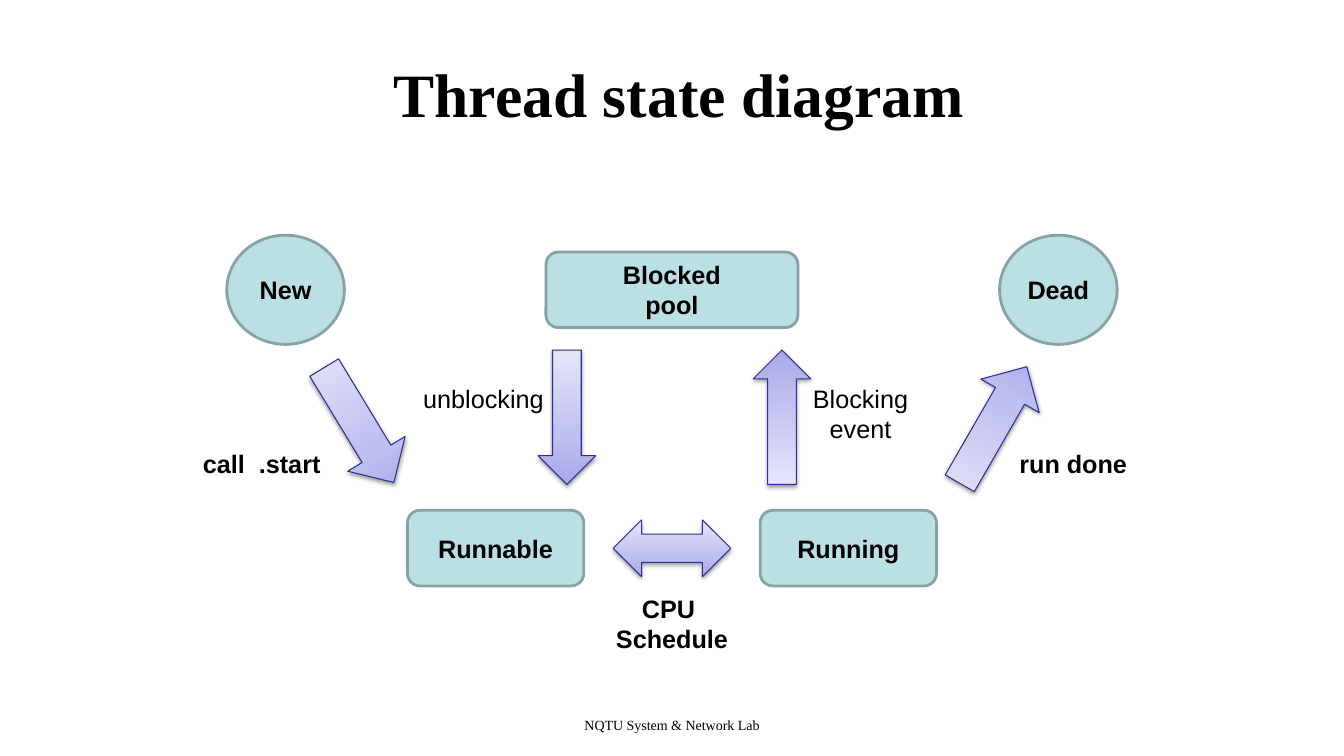
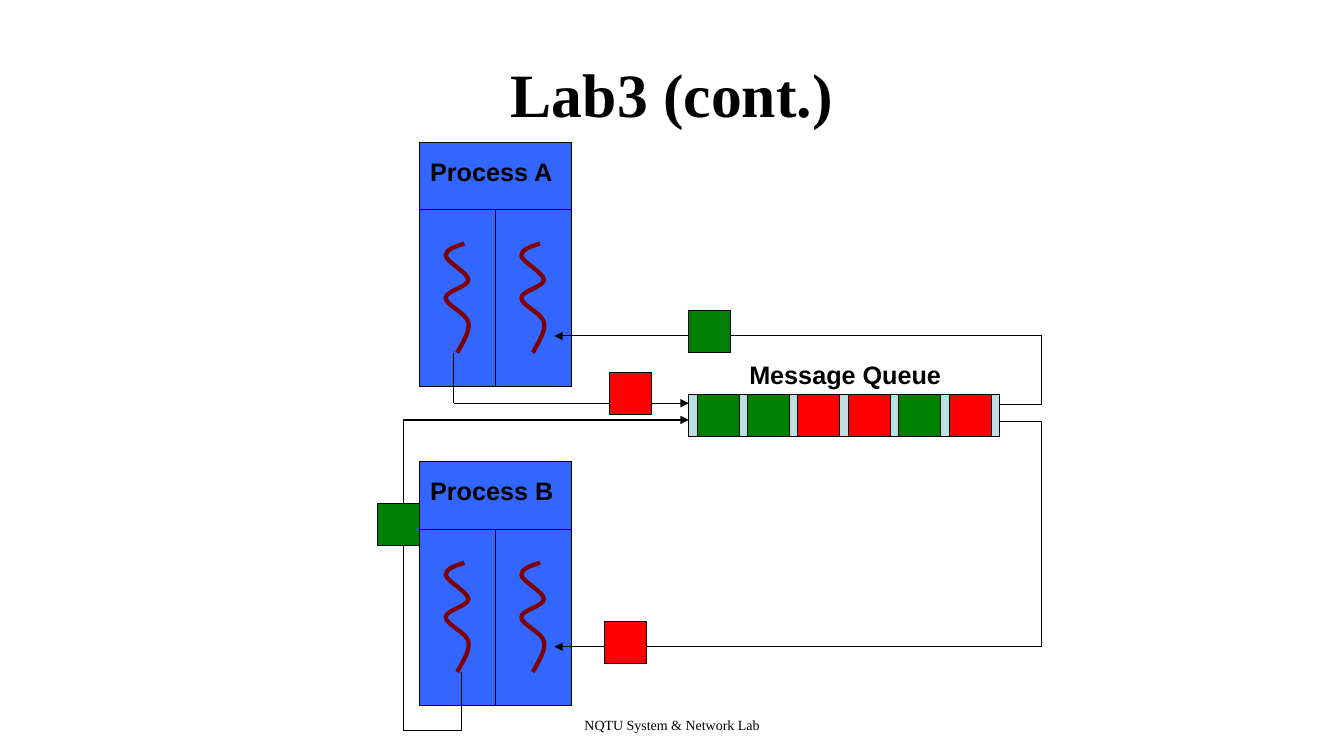
from dataclasses import dataclass
from itertools import chain

from lxml.etree import SubElement
from pptx import Presentation
from pptx.dml.color import RGBColor
from pptx.enum.shapes import MSO_CONNECTOR, MSO_SHAPE
from pptx.enum.text import MSO_ANCHOR, PP_ALIGN
from pptx.oxml.ns import qn
from pptx.util import Emu, Inches, Pt

COLUMNS, ROWS = 160, 90
CELL = Inches(1) / 12


@dataclass(frozen=True)
class Theme:
    ink: str = "000000"
    state: str = "BBE0E3"
    state_edge: str = "88A3A5"
    arrow_edge: str = "2E2E97"
    arrow_stops: tuple = ((0, "A6A6E9"), (35, "BFBFF0"), (100, "E5E5FA"))
    process: str = "3366FF"
    thread: str = "800000"
    red: str = "FF0000"
    green: str = "008000"
    thin: float = 0.75
    edge: float = 2
    thick: float = 3


THEME = Theme()
TITLE = {"name": "Times New Roman", "size": Pt(44), "bold": True}
FOOTER = {"name": "Times New Roman", "size": Pt(10), "bold": False}
STRONG = {"name": "Arial", "size": Pt(18), "bold": True}
PLAIN = {"name": "Arial", "size": Pt(18), "bold": False}
LEFT, CENTER = PP_ALIGN.LEFT, PP_ALIGN.CENTER

# All areas are left, top, width, height in grid cells.
FOOTER_TEXT, FOOTER_AREA = "NQTU System & Network Lab", (54.5, 84.7, 51, 2.9)
TITLE_AREA = (26, 3.6, 108, 15)

STATES = [
    ("New", MSO_SHAPE.OVAL, (27, 28, 14, 13)),
    ("Dead", MSO_SHAPE.OVAL, (119, 28, 14, 13)),
    ("Runnable", MSO_SHAPE.ROUNDED_RECTANGLE, (48.5, 60.75, 21, 9)),
    ("Running", MSO_SHAPE.ROUNDED_RECTANGLE, (90.5, 60.75, 21, 9)),
    ("Blocked\vpool", MSO_SHAPE.ROUNDED_RECTANGLE, (65, 30, 30, 9)),
]
TRANSITIONS = [
    (MSO_SHAPE.DOWN_ARROW, (38.75, 42.6, 8, 16), 328.8),
    (MSO_SHAPE.LEFT_RIGHT_ARROW, (73, 61.9, 14, 6.75), 0),
    (MSO_SHAPE.DOWN_ARROW, (114.25, 42.6, 8, 16), 209.9),
    (MSO_SHAPE.DOWN_ARROW, (89.67, 41.67, 6.85, 16), 180),
    (MSO_SHAPE.DOWN_ARROW, (64.07, 41.67, 6.85, 16), 0),
]
TRANSITION_LABELS = [
    ("call  .start", (22.97, 52.8, 16.4, 4.8), STRONG, LEFT),
    ("run done", (120.17, 52.8, 16.4, 4.8), STRONG, LEFT),
    ("CPU \nSchedule", (71.9, 70, 16.2, 8.5), STRONG, CENTER),
    ("Blocking event", (95, 45, 14.9, 8.5), PLAIN, CENTER),
    ("unblocking", (49.1, 45, 16.9, 4.8), PLAIN, CENTER),
]

PROCESSES = [("Process A", 50, 17), ("Process B", 50, 55)]
PROCESS_WIDTH, PROCESS_HEIGHT, HEADER_HEIGHT = 18, 29, 8
THREAD_OFFSETS = [(3, 12), (12, 12)]
THREAD_START = (2.3, 0)
THREAD_CURVES = [
    ((1.16, 0.36), (0.06, 0.72), (0.06, 1.44)),
    ((0.12, 2.16), (2.76, 3.48), (2.76, 4.32)),
    ((2.76, 5.16), (0.06, 5.64), (0.06, 6.48)),
    ((0.06, 7.32), (2.52, 8.28), (2.76, 9.36)),
    ((3, 10.44), (2.16, 11.64), (1.44, 13)),
]
ROUTES = [
    [(54, 42), (54, 48), (82, 48)],
    [(55, 80), (55, 87), (48, 87), (48, 50), (82, 50)],
    [(119, 48.2), (124, 48.2), (124, 40), (66, 40)],
    [(119, 50.2), (124, 50.2), (124, 77), (66, 77)],
]
MESSAGE_SIZE, SLOT_STEP = 5, 6
RED, GREEN = THEME.red, THEME.green
MESSAGES = [(72.6, 44.4, RED), (45, 60, GREEN), (72, 74, RED), (82, 37, GREEN)]
QUEUE_AREA = (82, 47, 37, 5)
QUEUE_MESSAGES = [GREEN, GREEN, RED, RED, GREEN, RED]
QUEUE_LABEL = ("Message Queue", (88.02, 42.2, 26, 4.8))


def cells(values):
    return [Emu(round(value * CELL)) for value in values]


def color(value):
    return RGBColor.from_string(value)


def set_line(shape, value, width):
    shape.line.color.rgb = color(value)
    shape.line.width = Pt(width)


def write(frame, text, style, align):
    frame.word_wrap = True
    frame.text = text
    for para in frame.paragraphs:
        para.alignment = align
        for span in para.runs:
            span.font.color.rgb = color(THEME.ink)
            for name, value in style.items():
                setattr(span.font, name, value)


def add_label(page, text, area, style=STRONG, align=LEFT, anchor=MSO_ANCHOR.TOP):
    box = page.shapes.add_textbox(*cells(area))
    write(box.text_frame, text, style, align)
    box.text_frame.vertical_anchor = anchor


def add_block(page, area, fill, kind=MSO_SHAPE.RECTANGLE,
              edge=THEME.ink, width=THEME.thin):
    block = page.shapes.add_shape(kind, *cells(area))
    block.shadow.inherit = False
    block.fill.solid()
    block.fill.fore_color.rgb = color(fill)
    set_line(block, edge, width)
    return block


def add_state(page, text, kind, area):
    state = add_block(page, area, THEME.state, kind, THEME.state_edge, THEME.edge)
    write(state.text_frame, text, STRONG, CENTER)
    state.text_frame.vertical_anchor = MSO_ANCHOR.MIDDLE


def add_transition(page, kind, area, rotation):
    """Add a block arrow with a three-stop gradient and a soft shadow."""
    arrow = page.shapes.add_shape(kind, *cells(area))
    arrow.rotation = rotation
    arrow.shadow.inherit = False
    arrow.fill.gradient()
    arrow.fill.gradient_angle = 90
    set_line(arrow, THEME.arrow_edge, THEME.thin)
    properties = arrow._element.spPr
    stops = properties.find(".//" + qn("a:gsLst"))
    for stop in list(stops):
        stops.remove(stop)
    for share, value in THEME.arrow_stops:
        stop = SubElement(stops, qn("a:gs"), pos=str(share * 1000))
        SubElement(stop, qn("a:srgbClr"), val=value)
    shadow = SubElement(properties.find(qn("a:effectLst")), qn("a:outerShdw"),
                        blurRad="40000", dist="20000", dir="5400000",
                        rotWithShape="0")
    shade = SubElement(shadow, qn("a:srgbClr"), val=THEME.ink)
    SubElement(shade, qn("a:alpha"), val="38000")


def add_line(page, start, end, arrowhead=False):
    line = page.shapes.add_connector(MSO_CONNECTOR.STRAIGHT, *cells(start + end))
    set_line(line, THEME.ink, THEME.thin)
    if arrowhead:
        SubElement(line.line._get_or_add_ln(), qn("a:tailEnd"), type="triangle")
    SubElement(line._element.spPr, qn("a:effectLst"))


def add_route(page, points):
    """Join the points with lines; the last one carries the arrowhead."""
    for start, end in zip(points, points[1:]):
        add_line(page, start, end, arrowhead=end == points[-1])


def bend(freeform):
    """Turn each three line segments of an outline into one cubic curve."""
    outline = freeform._element.spPr.find(".//" + qn("a:path"))
    segments = outline.findall(qn("a:lnTo"))
    for first in range(0, len(segments), 3):
        curve = SubElement(outline, qn("a:cubicBezTo"))
        for segment in segments[first:first + 3]:
            curve.append(segment[0])
            outline.remove(segment)


def add_thread(page, left, top):
    def place(point):
        return cells((left + point[0], top + point[1]))

    builder = page.shapes.build_freeform(*place(THREAD_START))
    points = chain.from_iterable(THREAD_CURVES)
    builder.add_line_segments([place(point) for point in points], close=False)
    thread = builder.convert_to_shape()
    bend(thread)
    thread.shadow.inherit = False
    thread.fill.background()
    set_line(thread, THEME.thread, THEME.thick)


def add_process(page, left, top):
    right, bottom = left + PROCESS_WIDTH, top + PROCESS_HEIGHT
    middle, header = left + PROCESS_WIDTH / 2, top + HEADER_HEIGHT
    add_block(page, (left, top, PROCESS_WIDTH, PROCESS_HEIGHT), THEME.process)
    add_line(page, (left, header), (right, header))
    add_line(page, (middle, header), (middle, bottom))
    for across, down in THREAD_OFFSETS:
        add_thread(page, left + across, top + down)


def add_message(page, left, top, fill):
    add_block(page, (left, top, MESSAGE_SIZE, MESSAGE_SIZE), fill)


def add_page(deck, title):
    page = deck.slides.add_slide(deck.slide_layouts[6])
    add_label(page, FOOTER_TEXT, FOOTER_AREA, FOOTER, CENTER)
    add_label(page, title, TITLE_AREA, TITLE, CENTER, MSO_ANCHOR.MIDDLE)
    return page


def build_state_page(deck):
    page = add_page(deck, " Thread state diagram")
    for state in STATES:
        add_state(page, *state)
    for transition in TRANSITIONS:
        add_transition(page, *transition)
    for label in TRANSITION_LABELS:
        add_label(page, *label)


def build_queue_page(deck):
    page = add_page(deck, "Lab3 (cont.)")
    for _, left, top in PROCESSES:
        add_process(page, left, top)
    for route in ROUTES:
        add_route(page, route)
    for message in MESSAGES:
        add_message(page, *message)
    for name, left, top in PROCESSES:
        add_label(page, name, (left + 0.02, top + 1, 26, 4.8))
    add_block(page, QUEUE_AREA, THEME.state)
    queue_left, queue_top = QUEUE_AREA[:2]
    for slot, fill in enumerate(QUEUE_MESSAGES):
        add_message(page, queue_left + 1 + slot * SLOT_STEP, queue_top, fill)
    add_label(page, *QUEUE_LABEL)


def main():
    deck = Presentation()
    deck.slide_width, deck.slide_height = cells((COLUMNS, ROWS))
    build_state_page(deck)
    build_queue_page(deck)
    deck.save("out.pptx")


if __name__ == "__main__":
    main()
